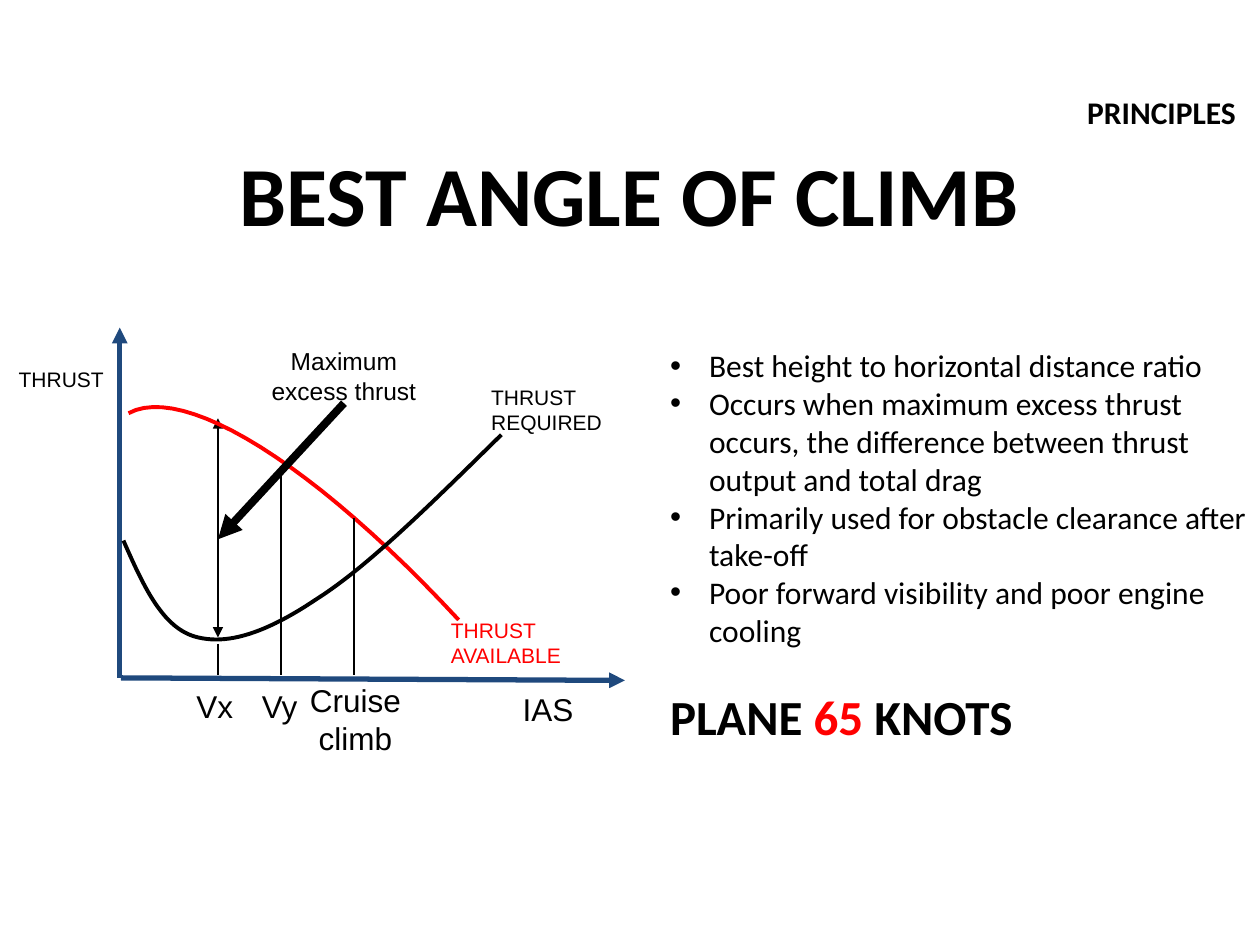
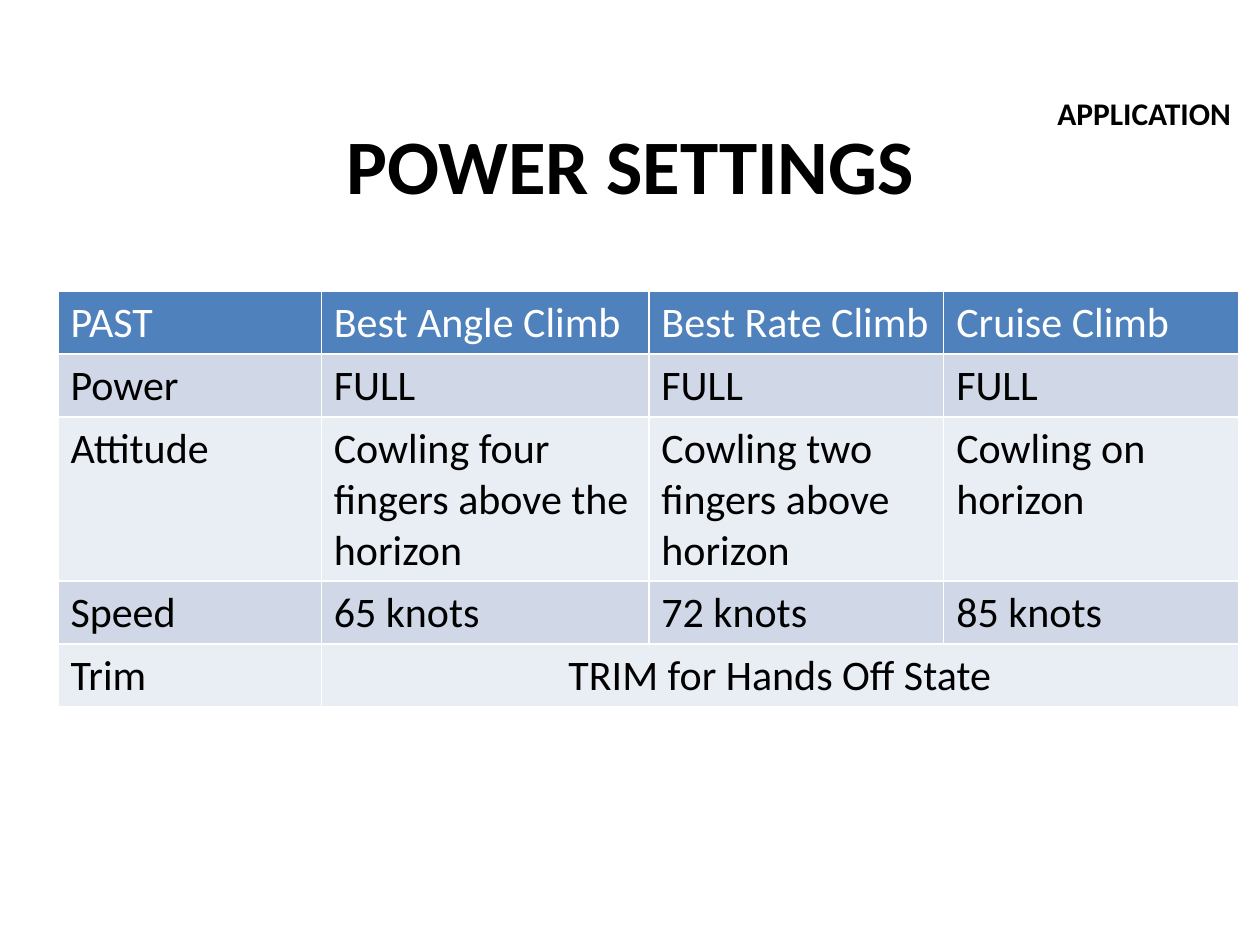
from lxml import etree
from pptx import Presentation
from pptx.dml.color import RGBColor
from pptx.enum.shapes import MSO_CONNECTOR
from pptx.enum.text import MSO_ANCHOR, MSO_AUTO_SIZE, PP_ALIGN
from pptx.oxml.ns import qn
from pptx.util import Inches, Pt

STRAIGHT = MSO_CONNECTOR.STRAIGHT
TOP = MSO_ANCHOR.TOP
NO_AUTOFIT = MSO_AUTO_SIZE.NONE
LEFT, CENTER = PP_ALIGN.LEFT, PP_ALIGN.CENTER

COLORS = {
    "ink": "000000",
    "paper": "FFFFFF",
    "red": "FF0000",
    "axis": "1F497D",
    "header": "4F81BD",
    "odd_row": "D0D8E8",
    "even_row": "E9EDF4",
}
HEADING_FONT, GRAPH_FONT = "Calibri", "Arial"
CURVE_STEPS = 24


def rgb(name):
    return RGBColor.from_string(COLORS[name])


def style_font(font, size, name=HEADING_FONT, color="ink", bold=False):
    font.name = name
    font.size = Pt(size)
    font.bold = bold
    font.color.rgb = rgb(color)


def add_text(slide, box, text, size, name=HEADING_FONT, color="ink",
             bold=False, align=LEFT, wrap=True):
    shape = slide.shapes.add_textbox(*map(Inches, box))
    text_frame = shape.text_frame
    text_frame.word_wrap = wrap
    text_frame.text = text
    paragraph = text_frame.paragraphs[0]
    paragraph.alignment = align
    style_font(paragraph.runs[0].font, size, name, color, bold)


def add_titled_slide(presentation, title, title_box, title_size,
                     section, section_box, section_align):
    slide = presentation.slides.add_slide(presentation.slide_layouts[5])
    shape = slide.shapes.title
    shape.left, shape.top, shape.width, shape.height = map(Inches, title_box)
    text_frame = shape.text_frame
    text_frame.text = title
    text_frame.auto_size = NO_AUTOFIT
    text_frame.vertical_anchor = TOP
    paragraph = text_frame.paragraphs[0]
    paragraph.alignment = CENTER
    style_font(paragraph.runs[0].font, title_size, bold=True)
    add_text(slide, section_box, section, 18, bold=True, align=section_align)
    return slide


def add_line(slide, start, end, color="ink", width=0.75, arrows=()):
    connector = slide.shapes.add_connector(
        STRAIGHT, *map(Inches, (*start, *end)))
    connector.line.color.rgb = rgb(color)
    connector.line.width = Pt(width)
    line_element = connector.line._get_or_add_ln()
    for arrow in arrows:
        etree.SubElement(line_element, qn(f"a:{arrow}"), type="triangle")
    etree.SubElement(connector._element.spPr, qn("a:effectLst"))


def bezier_point(controls, t):
    weights = ((1 - t) ** 3, 3 * t * (1 - t) ** 2, 3 * t * t * (1 - t), t ** 3)
    return tuple(sum(weight * point[axis]
                     for weight, point in zip(weights, controls))
                 for axis in (0, 1))


def add_curve(slide, controls, color):
    points = [controls[0]]
    for first in range(0, len(controls) - 1, 3):
        segment = controls[first:first + 4]
        points += [bezier_point(segment, step / CURVE_STEPS)
                   for step in range(1, CURVE_STEPS + 1)]
    points = [(Inches(x), Inches(y)) for x, y in points]
    builder = slide.shapes.build_freeform(*points[0])
    builder.add_line_segments(points[1:], close=False)
    shape = builder.convert_to_shape()
    shape.shadow.inherit = False
    shape.fill.background()
    shape.line.color.rgb = rgb(color)
    shape.line.width = Pt(2.25)


def draw_thrust_graph(slide, left, top):
    def at(x, y):
        return left + x, top + y

    def label(x, y, width, height, text, size, **options):
        add_text(slide, (*at(x, y), width, height), text, size,
                 GRAPH_FONT, **options)

    vx, vy, cruise, speed_bottom = 1.68, 2.18, 2.76, 2.76
    add_line(slide, at(vx, 0.72), at(vx, 2.46), arrows=("headEnd", "tailEnd"))
    for end, start in (((4.91, 2.8), (0.91, 2.78)), ((0.9, 0), (0.9, 2.78))):
        add_line(slide, at(*start), at(*end), "axis", 3, ("tailEnd",))

    available = ((0.97, 0.68), (1.41, 0.44), (2.45, 1.09), (3.59, 2.32))
    required = ((0.93, 1.69), (1.08, 2.03), (1.23, 2.37), (1.49, 2.45),
                (1.75, 2.53), (2.07, 2.42), (2.47, 2.15),
                (2.88, 1.89), (3.4, 1.37), (3.93, 0.85))
    for controls, color in ((available, "red"), (required, "ink")):
        add_curve(slide, [at(*point) for point in controls], color)

    for speed, line_top in ((vx, 2.51), (vy, 1.1), (cruise, 1.51)):
        add_line(slide, at(speed, line_top), at(speed, speed_bottom))

    label(0, 0.26, 0.98, 0.39, "THRUST", 12)
    label(3.43, 2.25, 1.61, 0.32, "THRUST AVAILABLE", 12, color="red")
    label(3.75, 0.4, 1.26, 0.5, "THRUST REQUIRED", 12)
    label(1.41, 2.8, 0.49, 0.4, "Vx", 18, wrap=False)
    label(1.93, 2.8, 0.49, 0.4, "Vy", 18, wrap=False)
    label(2.26, 2.76, 1.02, 0.7, "Cruise climb", 18, align=CENTER)
    label(4, 2.83, 0.6, 0.4, "IAS", 18, wrap=False)
    label(1.93, 0.1, 1.5, 0.57, "Maximum excess thrust", 14, align=CENTER)
    add_line(slide, at(2.68, 0.6), at(vx, 1.68), width=4.5, arrows=("tailEnd",))


def add_climb_notes(slide, box):
    points = (
        "Best height to horizontal distance ratio",
        "Occurs when maximum excess thrust occurs, the difference between "
        "thrust output and total drag",
        "Primarily used for obstacle clearance after take-off",
        "Poor forward visibility and poor engine cooling",
    )
    text_frame = slide.shapes.add_textbox(*map(Inches, box)).text_frame
    text_frame.word_wrap = True
    for index, point in enumerate(points):
        paragraph = (text_frame.add_paragraph() if index
                     else text_frame.paragraphs[0])
        paragraph.text = point
        properties = paragraph._p.get_or_add_pPr()
        properties.set("marL", str(Inches(0.31)))
        properties.set("indent", str(Inches(-0.31)))
        etree.SubElement(properties, qn("a:buFont"), typeface="Arial")
        etree.SubElement(properties, qn("a:buChar"), char="•")
        style_font(paragraph.runs[0].font, 18)

    paragraph = text_frame.add_paragraph()
    paragraph.space_before = Pt(21.6)
    for text, color in (("PLANE ", "ink"), ("65", "red"), (" KNOTS", "ink")):
        run = paragraph.add_run()
        run.text = text
        style_font(run.font, 28, color=color, bold=True)


def add_cell_borders(cell):
    properties = cell._tc.get_or_add_tcPr()
    for side in ("lnL", "lnR", "lnT", "lnB"):
        border = etree.SubElement(properties, qn(f"a:{side}"), w=str(Pt(1)))
        fill = etree.SubElement(border, qn("a:solidFill"))
        etree.SubElement(fill, qn("a:srgbClr"), val=COLORS["paper"])


def add_settings_table(slide, left, top):
    rows = (
        ("PAST", "Best Angle Climb", "Best Rate Climb", "Cruise Climb"),
        ("Power", "FULL", "FULL", "FULL"),
        ("Attitude", "Cowling four fingers above the horizon",
         "Cowling two fingers above horizon", "Cowling on horizon"),
        ("Speed", "65 knots", "72 knots", "85 knots"),
        ("Trim", "TRIM for Hands Off State", "", ""),
    )
    widths, row_height = (2.09, 2.6, 2.34, 2.34), 0.41
    table = slide.shapes.add_table(
        len(rows), len(widths), Inches(left), Inches(top),
        Inches(sum(widths)), Inches(row_height * len(rows))).table
    for column, width in zip(table.columns, widths):
        column.width = Inches(width)
    for row_index, texts in enumerate(rows):
        if row_index == 0:
            fill_color = "header"
        else:
            fill_color = "odd_row" if row_index % 2 else "even_row"
        for column_index, text in enumerate(texts):
            cell = table.cell(row_index, column_index)
            add_cell_borders(cell)
            cell.fill.solid()
            cell.fill.fore_color.rgb = rgb(fill_color)
            cell.text = text
            for run in cell.text_frame.paragraphs[0].runs:
                style_font(run.font, 24, color="ink" if row_index else "paper")
    trim_cell = table.cell(4, 1)
    trim_cell.merge(table.cell(4, 3))
    trim_cell.text_frame.paragraphs[0].alignment = CENTER


def main():
    presentation = Presentation()
    presentation.slide_width = Inches(10)
    presentation.slide_height = Inches(7.5)

    slide = add_titled_slide(
        presentation, "BEST ANGLE OF CLIMB", (1.12, 1.08, 7.75, 0.91), 48,
        "PRINCIPLES", (8.53, 0.69, 2.28, 0.4), LEFT)
    add_climb_notes(slide, (5.22, 2.7, 4.8, 3.37))
    draw_thrust_graph(slide, 0.05, 2.6)

    slide = add_titled_slide(
        presentation, "POWER SETTINGS", (2.25, 0.88, 5.51, 0.84), 44,
        "APPLICATION", (7.94, 0.7, 2.28, 0.4), CENTER)
    add_settings_table(slide, 0.46, 2.31)

    presentation.save("out.pptx")


if __name__ == "__main__":
    main()
